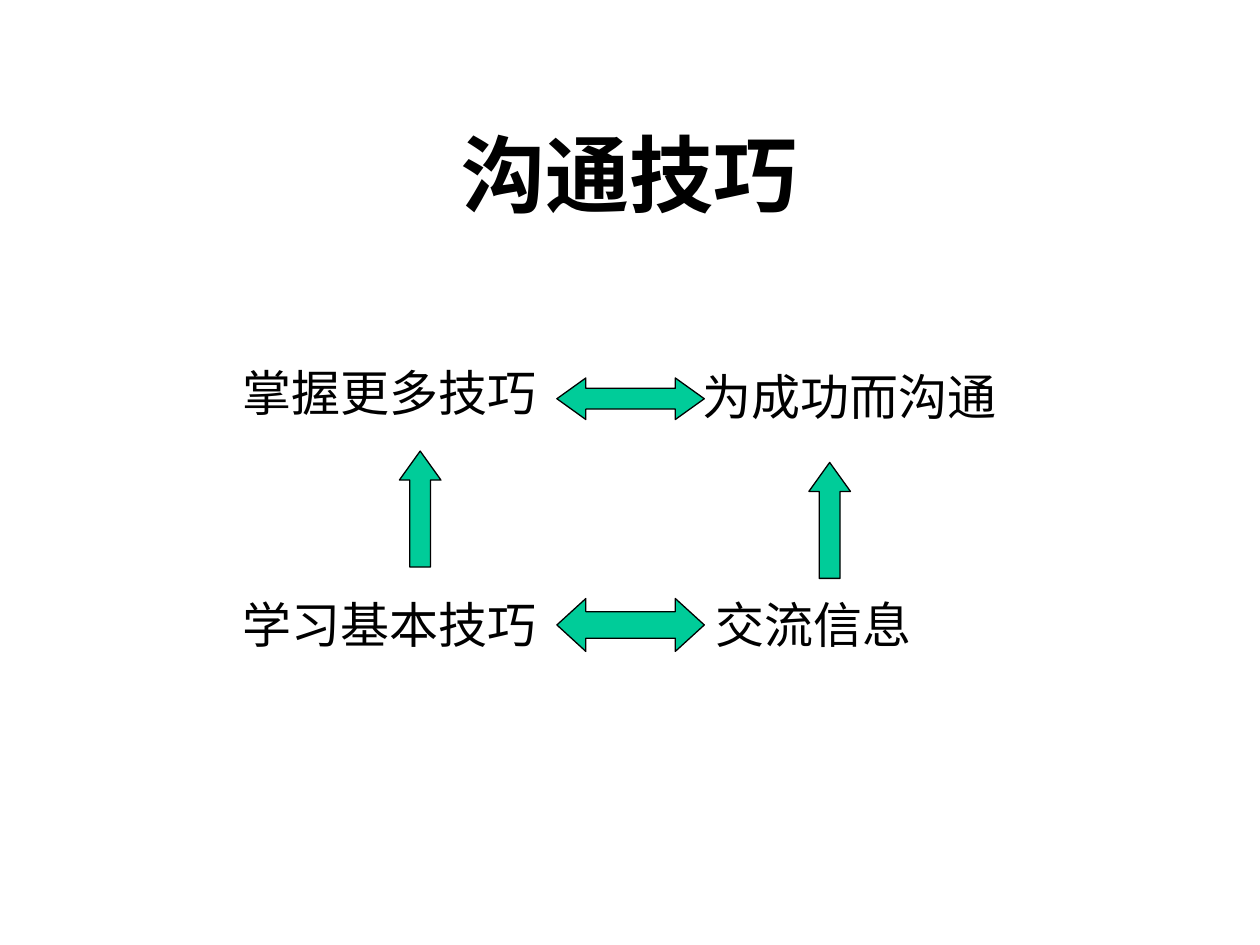
"""Build the communication skills slide."""
from pptx import Presentation
from pptx.dml.color import RGBColor
from pptx.enum.shapes import MSO_SHAPE
from pptx.enum.text import MSO_ANCHOR, PP_ALIGN
from pptx.util import Inches, Pt

COLORS = {"text": "000000", "arrow": "00CC99", "outline": "000000"}
TITLE_FORMAT = {"name": "Times New Roman", "size": Pt(48), "bold": True}
LABEL_FORMAT = {"name": "Times New Roman", "size": Pt(28), "bold": False}
HEAD_LENGTH = 0.23

presentation = Presentation()
presentation.slide_width = Inches(10)
presentation.slide_height = Inches(7.5)
slide = presentation.slides.add_slide(presentation.slide_layouts[6])


def add_text(text, bounds, font_format, alignment, anchor):
    box = slide.shapes.add_textbox(*map(Inches, bounds))
    frame = box.text_frame
    frame.word_wrap = True
    frame.vertical_anchor = anchor
    paragraph = frame.paragraphs[0]
    paragraph.alignment = alignment
    run = paragraph.add_run()
    run.text = text
    for attribute, value in font_format.items():
        setattr(run.font, attribute, value)
    run.font.color.rgb = RGBColor.from_string(COLORS["text"])


add_text("沟通技巧", (0.75, 0.75, 8.5, 1.25), TITLE_FORMAT, PP_ALIGN.CENTER, MSO_ANCHOR.MIDDLE)

labels = [
    ("学习基本技巧", 1.83, 4.67, 2.77),
    ("交流信息", 5.58, 4.67, 2),
    ("掌握更多技巧", 1.83, 2.83, 2.93),
    ("为成功而沟通", 5.48, 2.86, 2.6),
]
for text, left, top, width in labels:
    add_text(text, (left, top, width, 0.57), LABEL_FORMAT, PP_ALIGN.LEFT, MSO_ANCHOR.TOP)

arrows = [
    (MSO_SHAPE.LEFT_RIGHT_ARROW, 4.42, 4.75, 1.17, 0.42),
    (MSO_SHAPE.LEFT_RIGHT_ARROW, 4.42, 3, 1.17, 0.33),
    (MSO_SHAPE.UP_ARROW, 3.17, 3.58, 0.33, 0.92),
    (MSO_SHAPE.UP_ARROW, 6.42, 3.67, 0.33, 0.92),
]
for arrow_type, left, top, width, height in arrows:
    shape = slide.shapes.add_shape(arrow_type, *map(Inches, (left, top, width, height)))
    shape.adjustments[0] = 0.5
    shape.adjustments[1] = HEAD_LENGTH / min(width, height)
    shape.shadow.inherit = False
    shape.fill.solid()
    shape.fill.fore_color.rgb = RGBColor.from_string(COLORS["arrow"])
    shape.line.color.rgb = RGBColor.from_string(COLORS["outline"])
    shape.line.width = Pt(0.75)

presentation.save("out.pptx")
